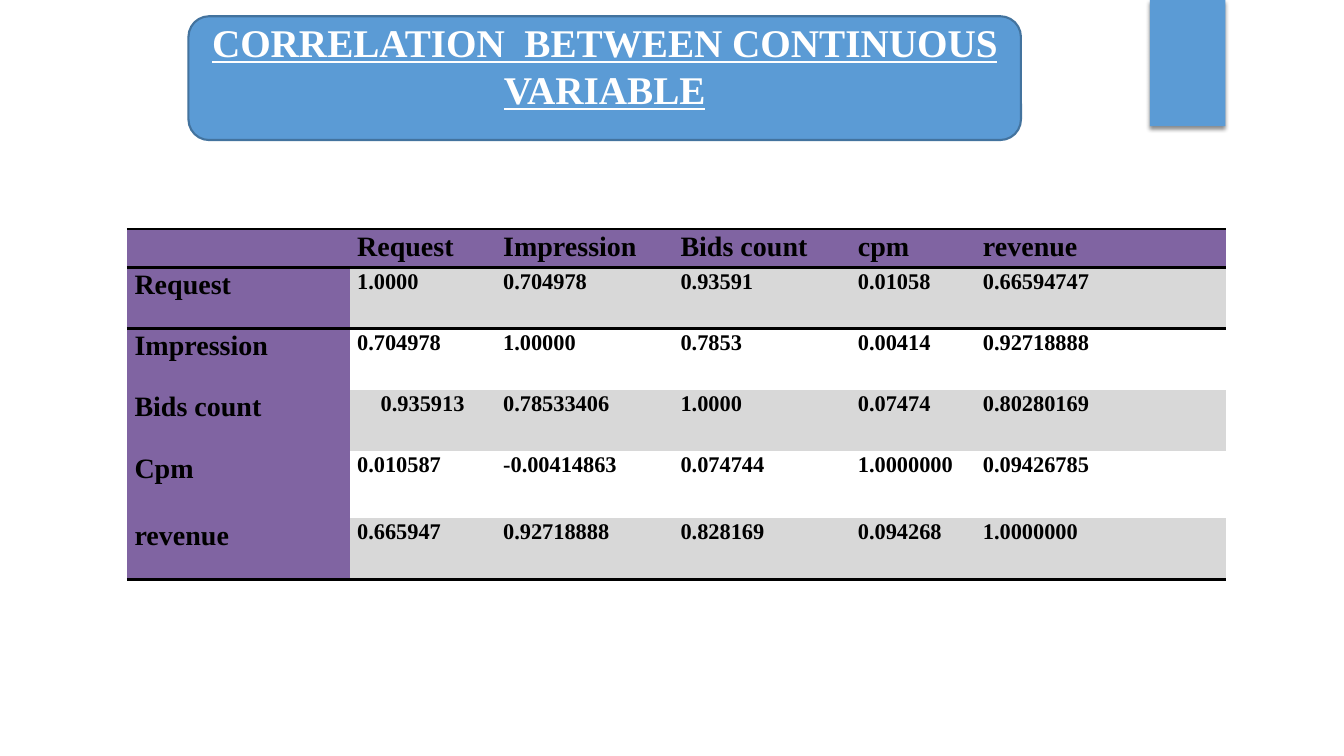
from lxml import etree
from pptx import Presentation
from pptx import util as u
from pptx.dml.color import RGBColor
from pptx.enum import shapes, text
from pptx.oxml import ns

Cm, Pt = u.Cm, u.Pt
FONT = "Times New Roman"
COLORS = {"blue": "5B9BD5", "edge": "43739E", "violet": "8064A2",
          "gray": "D8D8D8", "black": "000000", "white": "FFFFFF"}
HEAD = ["", "Request", "Impression", "Bids count", "cpm", "revenue"]
ROWS = [
    ["Request", "1.0000", "0.704978", "0.93591", "0.01058", "0.66594747"],
    ["Impression", "0.704978", "1.00000", "0.7853", "0.00414", "0.92718888"],
    ["Bids count", "0.935913", "0.78533406", "1.0000", "0.07474", "0.80280169"],
    ["Cpm", "0.010587", "-0.00414863", "0.074744", "1.0000000", "0.09426785"],
    ["revenue", "0.665947", "0.92718888", "0.828169", "0.094268", "1.0000000"],
]
WIDTHS = [5.61, 3.68, 4.47, 4.47, 3.15, 6.31]
HEIGHTS = [0.97, 1.54, 1.54, 1.54, 1.7, 1.54]
PLAIN = "{2D5ABB26-0587-4C30-8999-92F81FD0307C}"


def rgb(name):
    return RGBColor.from_string(COLORS[name])


def put(item, values):
    """Set each attribute of item from a dict."""
    for key, value in values.items():
        setattr(item, key, value)


def style(font, size, color, **more):
    put(font, {"name": FONT, "size": Pt(size), "bold": True, **more})
    font.color.rgb = rgb(color)


def add_box(slide, kind, left, top, width, height, edge=None):
    box = slide.shapes.add_shape(kind, Cm(left), Cm(top), Cm(width), Cm(height))
    box.shadow.inherit = False
    box.fill.solid()
    box.fill.fore_color.rgb = rgb("blue")
    if edge:
        box.line.color.rgb = rgb(edge)
        box.line.width = Pt(1.5)
    else:
        box.line.fill.background()
    return box


def add_shade(box):
    """Give the box a soft shadow straight below it."""
    effects = box._element.spPr.find(ns.qn("a:effectLst"))
    shade = etree.SubElement(effects, ns.qn("a:outerShdw"), blurRad=str(Pt(3)),
                             dist=str(Pt(2)), dir="5400000", rotWithShape="0")
    tint = etree.SubElement(shade, ns.qn("a:srgbClr"), val=COLORS["black"])
    etree.SubElement(tint, ns.qn("a:alpha"), val="45000")


def set_title(slide, words):
    title = slide.shapes.title
    put(title, {"left": Cm(4.75), "top": Cm(0.47),
                "width": Cm(20.98), "height": Cm(2.4)})
    frame = title.text_frame
    frame.text = words
    put(frame, {"auto_size": text.MSO_AUTO_SIZE.NONE, "word_wrap": True,
                "vertical_anchor": text.MSO_ANCHOR.TOP,
                "margin_top": 0, "margin_bottom": 0})
    para = frame.paragraphs[0]
    put(para, {"alignment": text.PP_ALIGN.CENTER, "line_spacing": 1.0,
               "space_before": Pt(0)})
    style(para.runs[0].font, 28, "white", underline=True)


def add_rule(cell, side):
    """Draw a black border on side T or B of the cell."""
    line = etree.Element(ns.qn("a:ln" + side), w=str(Pt(2.25)))
    fill = etree.SubElement(line, ns.qn("a:solidFill"))
    etree.SubElement(fill, ns.qn("a:srgbClr"), val=COLORS["black"])
    props = cell._tc.get_or_add_tcPr()
    props.insert(len(props) - 1, line)  # the fill stays last


def fill_cell(cell, words, size, color):
    put(cell, {"margin_left": Cm(0.19), "margin_right": Cm(0.19),
               "margin_top": 0, "margin_bottom": 0})
    cell.text = words
    para = cell.text_frame.paragraphs[0]
    para.line_spacing = 1.07
    style(para.font, size, "black")
    for run in para.runs:
        style(run.font, size, "black")
    if color:
        cell.fill.solid()
        cell.fill.fore_color.rgb = rgb(color)
    else:
        cell.fill.background()


def add_grid(slide):
    data = [HEAD] + ROWS
    frame = slide.shapes.add_table(len(data), len(HEAD), Cm(3.2), Cm(5.77),
                                   Cm(sum(WIDTHS)), Cm(sum(HEIGHTS)))
    grid = frame.table
    put(grid, {"first_row": False, "horz_banding": False})
    grid._tbl.tblPr.find(ns.qn("a:tableStyleId")).text = PLAIN
    for col, width in zip(grid.columns, WIDTHS):
        col.width = Cm(width)
    for row, height in zip(grid.rows, HEIGHTS):
        row.height = Cm(height)
    rules = {0: "TB", 1: "T", len(ROWS): "B"}
    for r, row in enumerate(data):
        for c, words in enumerate(row):
            label = r == 0 or c == 0
            color = "violet" if label else "gray" if r % 2 else None
            cell = grid.cell(r, c)
            fill_cell(cell, words, 20 if label else 16, color)
            for side in rules.get(r, ""):
                add_rule(cell, side)
    mid = grid.cell(3, 1).text_frame.paragraphs[0]
    mid.alignment = text.PP_ALIGN.CENTER


def main():
    deck = Presentation()
    put(deck, {"slide_width": Cm(33.87), "slide_height": Cm(19.05)})
    slide = deck.slides.add_slide(deck.slide_layouts[5])
    kinds = shapes.MSO_SHAPE
    add_shade(add_box(slide, kinds.RECTANGLE, 28.98, 0, 1.9, 3.18))
    add_box(slide, kinds.ROUNDED_RECTANGLE, 4.75, 0.41, 20.98, 3.12, "edge")
    set_title(slide, "CORRELATION  BETWEEN CONTINUOUS VARIABLE")
    # The title sits above the banner
    slide.shapes._spTree.append(slide.shapes.title._element)
    add_grid(slide)
    deck.save("out.pptx")


if __name__ == "__main__":
    main()
